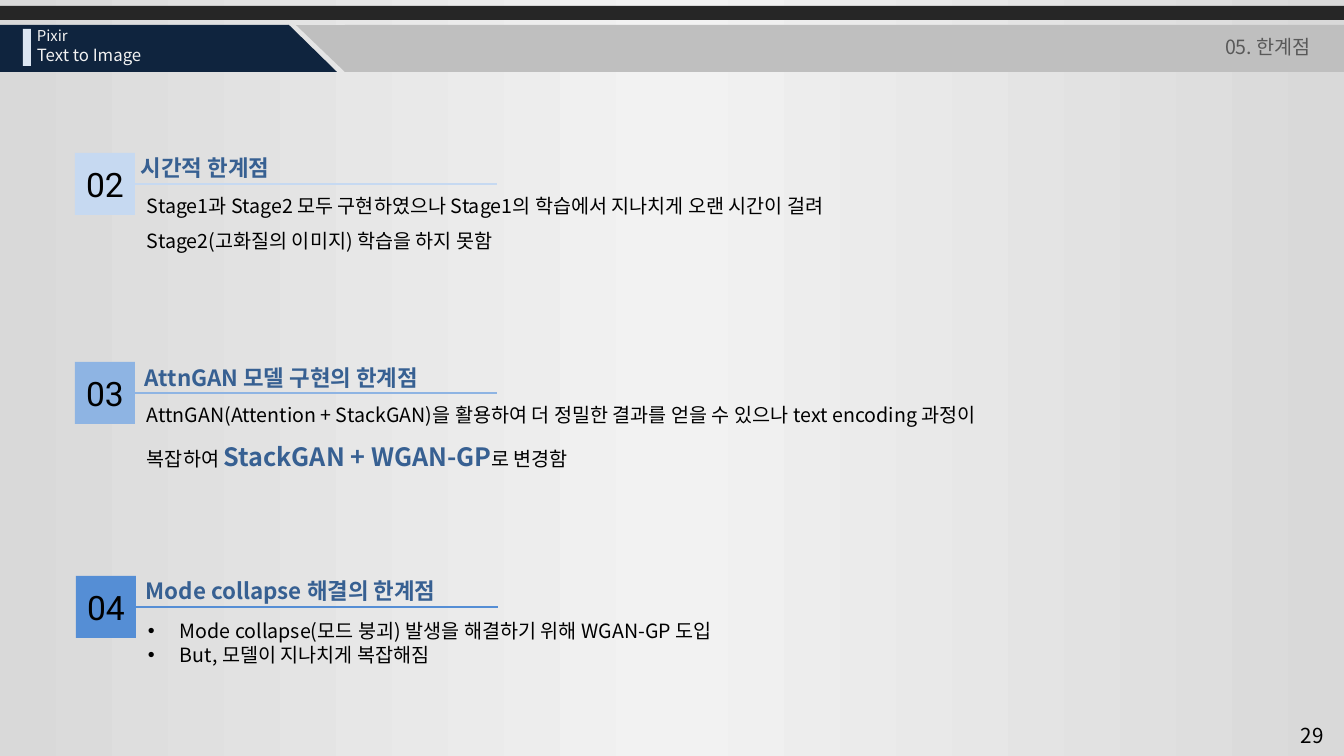
from dataclasses import dataclass

import lxml.etree
import pptx
import pptx.dml.color
import pptx.enum.shapes
import pptx.enum.text
import pptx.oxml.ns
import pptx.util

PX = 914400 / 100.8
SANS = "Noto Sans CJK KR"
DIGITS = "Roboto"
NAVY, SILVER, BLACK, BLUE, PALE = "0F243E", "BFBFBF", "000000", "376092", "F2F2F2"
BADGE_W, BADGE_H, RULE_W = 60, 62, 362
RECT = pptx.enum.shapes.MSO_SHAPE.RECTANGLE
TRIANGLE = pptx.enum.shapes.MSO_SHAPE.RIGHT_TRIANGLE
ALIGN = pptx.enum.text.PP_ALIGN
ANCHOR = pptx.enum.text.MSO_ANCHOR
AUTO_SIZE = pptx.enum.text.MSO_AUTO_SIZE
qn = pptx.oxml.ns.qn


@dataclass
class Run:
    text: str
    size: float = 14
    color: str = BLACK
    bold: bool = False
    font: str = SANS


@dataclass
class Box:
    left: int
    top: int
    width: int
    height: int


@dataclass
class Band:
    box: Box
    color: str
    kind: int = RECT
    rotation: int = 0


@dataclass
class Section:
    number: str
    color: str
    left: int
    top: int
    heading: str
    heading_box: Box
    body: list[list[Run]]
    body_box: Box
    spacing: float = 1.5
    bulleted: bool = False


BANDS = [
    Band(Box(0, 6, 1344, 14), "262626"),
    Band(Box(0, 25, 289, 47), NAVY),
    Band(Box(289, 25, 48, 47), NAVY, TRIANGLE),
    Band(Box(345, 25, 999, 47), SILVER),
    Band(Box(296, 25, 49, 47), SILVER, TRIANGLE, 180),
    Band(Box(23, 29, 8, 37), "DCE6F2"),
]

LABELS = [
    (Box(27, 22, 201, 28), Run("Pixir", 10.7, PALE)),
    (Box(27, 40, 201, 30), Run("Text to Image", 12, PALE)),
    (Box(1291, 718, 53, 35), Run("29", 14.7)),
]

SECTIONS = [
    Section("02", "C6D9F1", 75, 153, "시간적 한계점", Box(131, 149, 371, 37),
            [[Run("Stage1과 Stage2 모두 구현하였으나 Stage1의 학습에서 지나치게 오랜 시간이 걸려 "
                  "Stage2(고화질의 이미지) 학습을 하지 못함")]],
            Box(137, 177, 735, 79)),
    Section("03", "8EB4E3", 75, 362, "AttnGAN 모델 구현의 한계점", Box(135, 359, 371, 37),
            [[Run("AttnGAN(Attention + StackGAN)을 활용하여 더 정밀한 결과를 얻을 수 있으나 "
                  "text encoding 과정이 복잡하여 "),
              Run("StackGAN + WGAN-GP", 18, BLUE, True),
              Run("로 변경함")]],
            Box(137, 386, 884, 86)),
    Section("04", "558ED5", 76, 576, "Mode collapse 해결의 한계점", Box(136, 572, 371, 37),
            [[Run("Mode collapse(모드 붕괴) 발생을 해결하기 위해 WGAN-GP 도입")],
             [Run("But, 모델이 지나치게 복잡해짐")]],
            Box(138, 614, 621, 57), 1, True),
]


def px(n: int) -> int:
    return round(n * PX)


def rgb(color: str) -> pptx.dml.color.RGBColor:
    return pptx.dml.color.RGBColor.from_string(color)


def frame(box: Box) -> tuple[int, int, int, int]:
    return px(box.left), px(box.top), px(box.width), px(box.height)


def add_run(p, run: Run) -> None:
    r = p.add_run()
    r.text = run.text
    r.font.size = pptx.util.Pt(run.size)
    r.font.bold = run.bold
    r.font.color.rgb = rgb(run.color)
    r.font.name = run.font
    ea = lxml.etree.SubElement(r.font._element, qn("a:ea"))
    ea.set("typeface", run.font)


def add_bullet(p) -> None:
    ppr = p._p.get_or_add_pPr()
    ppr.set("marL", str(px(32)))
    ppr.set("indent", str(-px(32)))
    lxml.etree.SubElement(ppr, qn("a:buFont")).set("typeface", "Arial")
    lxml.etree.SubElement(ppr, qn("a:buChar")).set("char", "•")


def add_text(slide, box: Box, paragraphs: list[list[Run]], spacing: float = 1,
             bulleted: bool = False) -> None:
    tf = slide.shapes.add_textbox(*frame(box)).text_frame
    tf.word_wrap = True
    tf.auto_size = AUTO_SIZE.SHAPE_TO_FIT_TEXT
    for i, runs in enumerate(paragraphs):
        p = tf.add_paragraph() if i else tf.paragraphs[0]
        p.line_spacing = spacing
        if bulleted:
            add_bullet(p)
        for run in runs:
            add_run(p, run)


def add_band(slide, band: Band):
    sp = slide.shapes.add_shape(band.kind, *frame(band.box))
    sp.shadow.inherit = False
    sp.fill.solid()
    sp.fill.fore_color.rgb = rgb(band.color)
    sp.line.fill.background()
    sp.rotation = band.rotation
    return sp


def add_section(slide, section: Section) -> None:
    badge = add_band(slide, Band(Box(section.left, section.top, BADGE_W, BADGE_H), section.color))
    tf = badge.text_frame
    tf.margin_left = tf.margin_right = 0
    tf.vertical_anchor = ANCHOR.MIDDLE
    p = tf.paragraphs[0]
    p.alignment = ALIGN.CENTER
    add_run(p, Run(section.number, 24, font=DIGITS))

    add_text(slide, section.body_box, section.body, section.spacing, section.bulleted)

    x, y = section.left + BADGE_W, section.top + BADGE_H // 2
    rule = slide.shapes.add_connector(pptx.enum.shapes.MSO_CONNECTOR.STRAIGHT,
                                      px(x), px(y), px(x + RULE_W), px(y))
    rule.begin_connect(badge, 3)
    rule.line.color.rgb = rgb(section.color)
    rule.line.width = pptx.util.Pt(1.5)
    lxml.etree.SubElement(rule._element.spPr, qn("a:effectLst"))

    add_text(slide, section.heading_box, [[Run(section.heading, 16, BLUE, True)]])


def set_background(slide) -> None:
    fill = slide.background.fill
    fill.gradient()
    fill.gradient_angle = 0
    stops = slide.element.find(".//" + qn("a:gsLst"))
    stops.clear()
    for percent, color in ((0, "D9D9D9"), (50, "F2F2F2"), (100, "D9D9D9")):
        stop = lxml.etree.SubElement(stops, qn("a:gs"))
        stop.set("pos", str(percent * 1000))
        lxml.etree.SubElement(stop, qn("a:srgbClr")).set("val", color)


def place_title(slide, box: Box, run: Run) -> None:
    title = slide.shapes.title
    title.left, title.top, title.width, title.height = frame(box)
    title._element.getparent().append(title._element)
    tf = title.text_frame
    tf.word_wrap = True
    tf.auto_size = AUTO_SIZE.NONE
    tf.vertical_anchor = ANCHOR.MIDDLE
    p = tf.paragraphs[0]
    p.alignment = ALIGN.RIGHT
    add_run(p, run)


def main() -> None:
    prs = pptx.Presentation()
    prs.slide_width, prs.slide_height = px(1344), px(756)
    slide = prs.slides.add_slide(prs.slide_layouts[5])
    set_background(slide)
    for band in BANDS:
        add_band(slide, band)
    for box, run in LABELS:
        add_text(slide, box, [[run]])
    place_title(slide, Box(915, 28, 406, 38), Run("05. 한계점", 14, "595959"))
    for section in SECTIONS:
        add_section(slide, section)
    prs.save("out.pptx")


if __name__ == "__main__":
    main()
